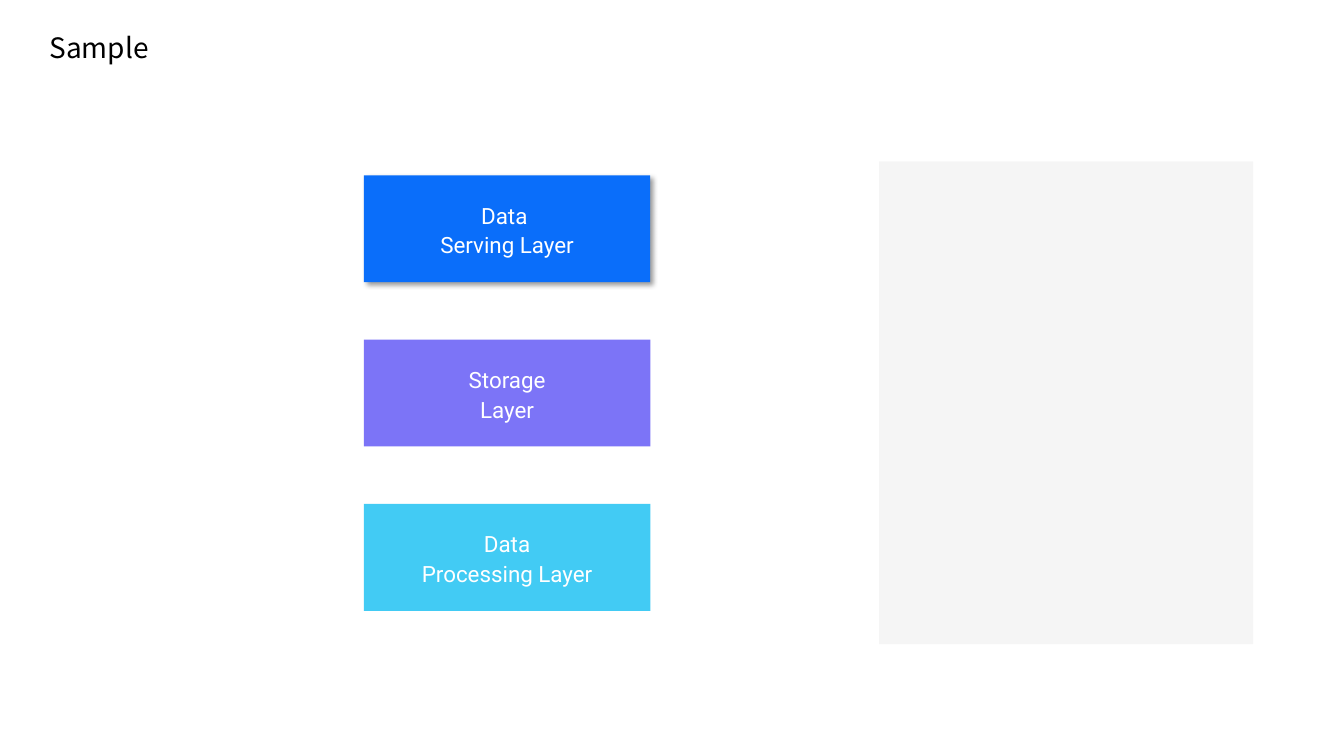
import dataclasses

import lxml.etree
import pptx
import pptx.dml.color
import pptx.enum.shapes
import pptx.enum.text
import pptx.oxml.ns
import pptx.util

Inches = pptx.util.Inches
Pt = pptx.util.Pt
RGBColor = pptx.dml.color.RGBColor
Kind = pptx.enum.shapes.MSO_SHAPE
Align = pptx.enum.text.PP_ALIGN
Anchor = pptx.enum.text.MSO_ANCHOR
qn = pptx.oxml.ns.qn

BLACK = RGBColor(0x00, 0x00, 0x00)
WHITE = RGBColor(0xFF, 0xFF, 0xFF)
GRAY = RGBColor(0xA5, 0xA5, 0xA5)
BLUE = RGBColor(0x0A, 0x6E, 0xFA)
VIOLET = RGBColor(0x7C, 0x74, 0xF7)
CYAN = RGBColor(0x42, 0xCB, 0xF4)

LEFT, TOP, STEP = 3.61, 1.74, 1.63
WIDTH, HEIGHT = 2.84, 1.06


@dataclasses.dataclass
class Layer:
    lines: tuple[str, ...]
    color: RGBColor
    kind: Kind = Kind.ROUNDED_RECTANGLE
    raised: bool = False


LAYERS = (
    Layer(("Data ", "Serving Layer"), BLUE, Kind.RECTANGLE, True),
    Layer(("Storage", "Layer"), VIOLET),
    Layer(("Data", "Processing Layer"), CYAN),
)


def add_run(para, text: str, font: str, size: float, color: RGBColor) -> None:
    run = para.add_run()
    run.text = text
    run.font.name = font
    run.font.size = Pt(size)
    run.font.color.rgb = color


def add_box(slide, kind: Kind, left: float, top: float, width: float,
            height: float, color: RGBColor):
    box = slide.shapes.add_shape(
        kind, Inches(left), Inches(top), Inches(width), Inches(height))
    box.shadow.inherit = False
    box.fill.solid()
    box.fill.fore_color.rgb = color
    box.line.fill.background()
    return box


def set_alpha(node, percent: int) -> None:
    alpha = lxml.etree.SubElement(node, qn("a:alpha"))
    alpha.set("val", str(percent * 1000))


def add_shadow(box) -> None:
    effects = box._element.spPr.find(qn("a:effectLst"))
    shadow = lxml.etree.SubElement(
        effects, qn("a:outerShdw"), blurRad=str(Pt(4)), dist=str(Pt(3)),
        dir=str(45 * 60000), algn="tl", rotWithShape="0")
    color = lxml.etree.SubElement(shadow, qn("a:srgbClr"), val=str(BLACK))
    set_alpha(color, 40)


def add_layer(slide, layer: Layer, top: float) -> None:
    box = add_box(slide, layer.kind, LEFT, top, WIDTH, HEIGHT, layer.color)
    if layer.kind == Kind.ROUNDED_RECTANGLE:
        box.adjustments[0] = 0
    if layer.raised:
        add_shadow(box)
    frame = box.text_frame
    frame.word_wrap = True
    frame.vertical_anchor = Anchor.MIDDLE
    for index, line in enumerate(layer.lines):
        para = frame.add_paragraph() if index else frame.paragraphs[0]
        para.alignment = Align.CENTER
        para.line_spacing = Pt(21.2)
        add_run(para, line, "Roboto", 16, WHITE)


def add_title(slide, text: str) -> None:
    title = slide.shapes.title
    title.left, title.top = Inches(0.39), Inches(0.29)
    title.width, title.height = Inches(11.96), Inches(0.45)
    frame = title.text_frame
    frame.auto_size = pptx.enum.text.MSO_AUTO_SIZE.NONE
    frame.vertical_anchor = Anchor.TOP
    para = frame.paragraphs[0]
    para.alignment = Align.LEFT
    para.line_spacing = 0.9
    add_run(para, text, "Noto Sans CJK SC", 20, BLACK)


deck = pptx.Presentation()
deck.slide_width = Inches(13.33)
deck.slide_height = Inches(7.5)
slide = deck.slides.add_slide(deck.slide_layouts[5])

# Title
add_title(slide, "Sample")

# Side panel
panel = add_box(slide, Kind.RECTANGLE, 8.72, 1.6, 3.71, 4.79, GRAY)
set_alpha(panel._element.spPr.find(qn("a:solidFill"))[0], 10)

# Stack of layers
for row, layer in enumerate(LAYERS):
    add_layer(slide, layer, TOP + row * STEP)

deck.save("out.pptx")
